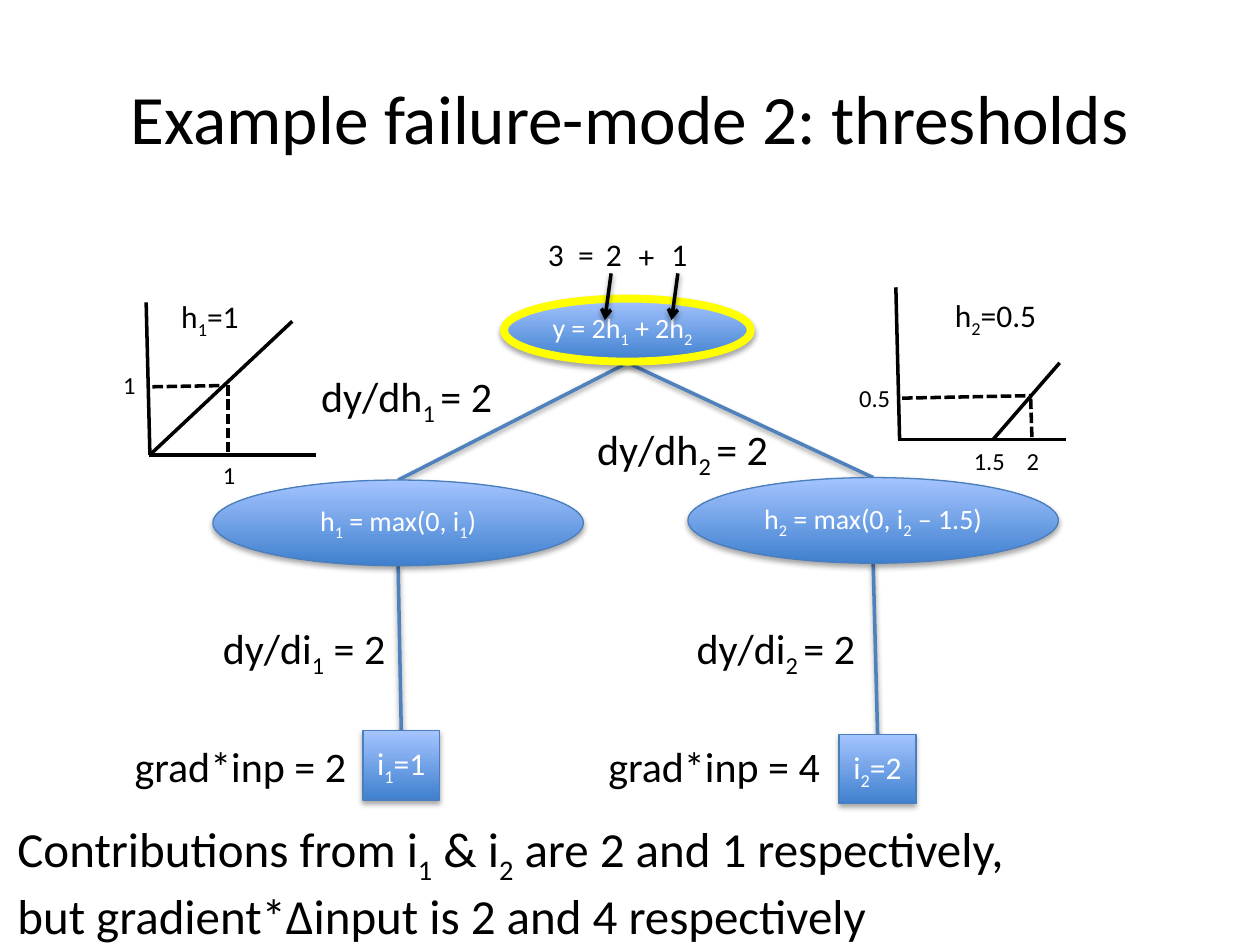
from dataclasses import dataclass

from lxml import etree
from pptx import Presentation
from pptx import util as u
from pptx.dml.color import RGBColor
from pptx.enum import dml, shapes, text
from pptx.oxml import ns


@dataclass(frozen=True)
class Theme:
    font: str = "Calibri"
    ink: str = "000000"
    pale: str = "FFFFFF"
    link: str = "4F81BD"
    edge: str = "4B7EBC"
    glow: str = "FFFF00"
    dark: str = "3F80CE"
    light: str = "A4C4FF"
    title: float = 39.6
    note: int = 28
    grad: int = 24
    label: int = 18
    node: int = 16
    tick: int = 14


look = Theme()
deck = Presentation()
deck.slide_width, deck.slide_height = u.Inches(10), u.Inches(7.5)
slide = deck.slides.add_slide(deck.slide_layouts[6])
shaded = []


def put(frame, lines, size, color=look.ink, align=text.PP_ALIGN.LEFT):
    for n, line in enumerate(lines.split("\n")):
        para = frame.add_paragraph() if n else frame.paragraphs[0]
        para.alignment = align
        for k, part in enumerate(line.split("_")):
            run = para.add_run()
            run.text = part
            run.font.name = look.font
            run.font.size = u.Pt(size)
            run.font.color.rgb = RGBColor.from_string(color)
            if k % 2:
                run._r.get_or_add_rPr().set("baseline", "-25000")


def draw(start, end, color=look.ink, dash=False):
    ends = [u.Inches(v) for v in (*start, *end)]
    line = slide.shapes.add_connector(shapes.MSO_CONNECTOR.STRAIGHT, *ends)
    line.line.color.rgb = RGBColor.from_string(color)
    line.line.width = u.Pt(2)
    if dash:
        line.line.dash_style = dml.MSO_LINE.SQUARE_DOT
    etree.SubElement(line.element.spPr, ns.qn("a:effectLst"))
    return line


title = slide.shapes.add_textbox(*map(u.Inches, (0.5, 0.3, 9, 1.25)))
title.text_frame.word_wrap = True
title.text_frame.vertical_anchor = text.MSO_ANCHOR.MIDDLE
put(title.text_frame, "Example failure-mode 2: thresholds", look.title,
    align=text.PP_ALIGN.CENTER)

oval, rect = shapes.MSO_SHAPE.OVAL, shapes.MSO_SHAPE.RECTANGLE
left, mid = text.PP_ALIGN.LEFT, text.PP_ALIGN.CENTER
nodes = {}
for name, kind, box, words, size, edge, width, align in (
    ("h1", oval, (1.69, 3.81, 2.94, 0.68), "h_1_ = max(0, i_1_)", look.node, look.edge, 0.75, mid),
    ("h2", oval, (5.46, 3.79, 2.94, 0.68), "h_2_ = max(0, i_2_ – 1.5)", look.node, look.edge, 0.75, mid),
    ("y", oval, (4, 2.37, 1.96, 0.5), "y = 2h_1_ + 2h_2", look.node, look.glow, 4.5, left),
    ("i1", rect, (2.88, 5.8, 0.61, 0.55), "i_1_=1", look.label, look.edge, 0.75, mid),
    ("i2", rect, (6.66, 5.83, 0.61, 0.55), "i_2_=2", look.label, look.edge, 0.75, mid),
):
    node = slide.shapes.add_shape(kind, *map(u.Inches, box))
    node.fill.gradient()
    node.fill.gradient_angle = 90
    for stop, shade, place in zip(node.fill.gradient_stops, (look.dark, look.light), (0, 1)):
        stop.color.rgb = RGBColor.from_string(shade)
        stop.position = place
    node.line.color.rgb = RGBColor.from_string(edge)
    node.line.width = u.Pt(width)
    node.shadow.inherit = False
    node.text_frame.vertical_anchor = text.MSO_ANCHOR.MIDDLE
    put(node.text_frame, words, size, look.pale, align)
    shaded.append((node, 1.8, 35))
    nodes[name] = node

for start, end, goal in (
    ((4.98, 2.88), (3.16, 3.81), "h1"),
    ((4.98, 2.88), (6.93, 3.79), "h2"),
    ((3.16, 4.49), (3.19, 5.8), "i1"),
    ((6.93, 4.47), (6.96, 5.83), "i2"),
):
    link = draw(start, end, look.link)
    link.end_connect(nodes[goal], 0)
    link.element.getparent().insert(2, link.element)
    shaded.append((link, 1.6, 38))

for x in (4.85, 5.38):
    arrow = draw((x, 2.17), (x - 0.05, 2.54))
    etree.SubElement(arrow.line._get_or_add_ln(), ns.qn("a:tailEnd"), type="arrow")
    shaded.append((arrow, 1.6, 38))

for item, dist, alpha in shaded:
    glow = etree.SubElement(
        item.element.spPr.find(ns.qn("a:effectLst")), ns.qn("a:outerShdw"),
        blurRad=str(u.Pt(3.1)), dist=str(u.Pt(dist)), dir="5400000", rotWithShape="0")
    tone = etree.SubElement(glow, ns.qn("a:srgbClr"), val=look.ink)
    etree.SubElement(tone, ns.qn("a:alpha"), val=str(alpha * 1000))

for x, y, slope, level, drop in (
    (1.19, 3.61, ((1.19, 3.61), (2.32, 2.55)), ((1.21, 3.07), (1.78, 3.06)), ((1.81, 3.59), (1.81, 3.04))),
    (7.14, 3.49, ((7.88, 3.49), (8.41, 2.88)), ((7.16, 3.16), (8.19, 3.14)), ((8.19, 3.47), (8.18, 3.16))),
):
    draw((x - 0.03, y - 1.21), (x, y))
    draw((x + 1.32, y), (x - 0.01, y))
    draw(*slope)
    draw(*level, dash=True)
    draw(*drop, dash=True)

for size, high, group in (
    (look.tick, 0.34, (
        (0.88, 2.89, 0.3, "1"), (1.67, 3.6, 0.3, "1"), (6.72, 2.99, 0.45, "0.5"),
        (8.05, 3.49, 0.3, "2"), (7.63, 3.49, 0.45, "1.5"))),
    (look.label, 0.4, (
        (4.25, 1.82, 0.33, "3"), (4.49, 1.82, 0.33, "="), (4.71, 1.82, 0.33, "2"),
        (4.97, 1.83, 0.33, "+"), (5.23, 1.82, 0.33, "1"),
        (1.34, 2.31, 0.67, "h_1_=1"), (7.48, 2.3, 0.87, "h_2_=0.5"))),
    (look.grad, 0.5, (
        (1.67, 4.89, 1.52, "dy/di_1_ = 2"), (5.43, 4.89, 1.52, "dy/di_2 _= 2"),
        (2.45, 2.89, 1.62, "dy/dh_1 _= 2"), (4.64, 3.31, 1.62, "dy/dh_2 _= 2"),
        (0.97, 5.83, 1.9, "grad*inp = 2"), (4.73, 5.83, 1.9, "grad*inp = 4"))),
    (look.note, 1.04, (
        (0.04, 6.45, 8.2, "Contributions from i_1_ & i_2_ are 2 and 1 respectively,\n"
                          "but gradient*Δinput is 2 and 4 respectively"),)),
):
    for x, y, wide, words in group:
        box = slide.shapes.add_textbox(*map(u.Inches, (x, y, wide, high)))
        box.text_frame.word_wrap = False
        box.text_frame.auto_size = text.MSO_AUTO_SIZE.SHAPE_TO_FIT_TEXT
        put(box.text_frame, words, size)

deck.save("out.pptx")
